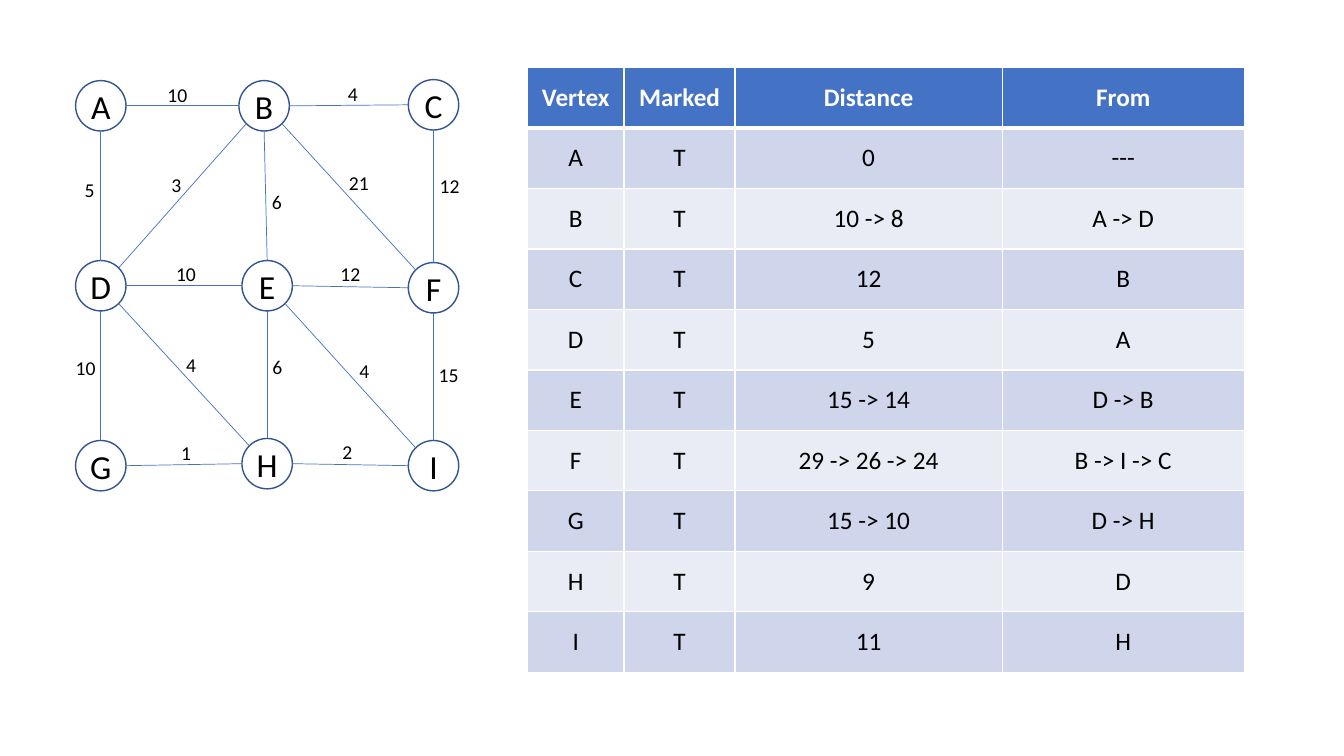
from math import hypot

from lxml.etree import SubElement as Sub
from pptx import Presentation
from pptx.dml.color import RGBColor as RGB
from pptx.enum.shapes import MSO_CONNECTOR as CONN, MSO_SHAPE as SHAPE
from pptx.enum.text import MSO_ANCHOR as ANCHOR, PP_ALIGN as ALIGN
from pptx.oxml.ns import qn
from pptx.util import Inches as In, Pt

# vertex: (column, row, nudge right, nudge down)
NODES = {
    "A": (0, 0, 0, 0), "B": (1, 0, -0.03, 0), "C": (2, 0, 0, -0.01),
    "D": (0, 1, 0, 0), "E": (1, 1, 0, 0), "F": (2, 1, 0, 0.02),
    "G": (0, 2, 0, 0), "H": (1, 2, 0, -0.02), "I": (2, 2, 0, 0),
}
# ends, weight, offset of the weight from the middle of the edge
EDGES = [
    ("AB", 10, -0.05, -0.11), ("BC", 4, 0.04, -0.11),
    ("AD", 5, -0.11, -0.06), ("BD", 3, -0.06, -0.11),
    ("BE", 6, 0.11, 0.06), ("BF", 21, 0.1, -0.14),
    ("CF", 12, 0.16, -0.1), ("DE", 10, 0.02, -0.12),
    ("EF", 12, 0, -0.13), ("DG", 10, -0.15, -0.08),
    ("DH", 4, 0.07, -0.1), ("EH", 6, 0.1, -0.08),
    ("EI", 4, 0.14, -0.05), ("FI", 15, 0.15, -0.02),
    ("GH", 1, 0.02, -0.11), ("HI", 2, -0.03, -0.12),
]
ROWS = [
    ("Vertex", "Marked", "Distance", "From"),
    ("A", "T", "0", "---"),
    ("B", "T", "10 -> 8", "A -> D"),
    ("C", "T", "12", "B"),
    ("D", "T", "5", "A"),
    ("E", "T", "15 -> 14", "D -> B"),
    ("F", "T", "29 -> 26 -> 24", "B -> I -> C"),
    ("G", "T", "15 -> 10", "D -> H"),
    ("H", "T", "9", "D"),
    ("I", "T", "11", "H"),
]
THEME = {
    "font": "Calibri", "node": 24, "weight": 14, "cell": 18,
    "ink": "000000", "white": "FFFFFF", "ring": "325491",
    "blue": "4472C4", "bands": ("E9EBF5", "CFD5EA"),
}
LEFT, TOP, STEP_X, STEP_Y, RAD = 1, 1.05, 1.65, 1.785, 0.25
COLS, ROW_H, TAB_X, TAB_Y = (0.96, 1.1, 2.65, 2.4), 0.6, 5.23, 0.67


def color(key):
    """Turn a theme key into a colour."""
    return RGB.from_string(THEME[key])


def write(frame, text, size, ink="ink", bold=False):
    """Put centred text in a frame."""
    frame.text = str(text)
    para = frame.paragraphs[0]
    para.alignment = ALIGN.CENTER
    font = para.runs[0].font
    font.name, font.size, font.bold = THEME["font"], Pt(THEME[size]), bold
    font.color.rgb = color(ink)


def center(name):
    """Give the middle of a vertex in inches."""
    col, row, dx, dy = NODES[name]
    return LEFT + col * STEP_X + dx, TOP + row * STEP_Y + dy


def add_node(slide, name):
    """Draw a vertex as a ring with its letter."""
    x, y = center(name)
    ring = slide.shapes.add_shape(
        SHAPE.OVAL, In(x - RAD), In(y - RAD), In(2 * RAD), In(2 * RAD))
    ring.shadow.inherit = False
    ring.fill.background()
    ring.line.color.rgb, ring.line.width = color("ring"), Pt(1)
    frame = ring.text_frame
    frame.margin_left = frame.margin_right = 0
    frame.margin_top = frame.margin_bottom = 0
    frame.vertical_anchor = ANCHOR.MIDDLE
    write(frame, name, "node")


def add_edge(slide, ends):
    """Draw a line between the rims of two vertices."""
    one, two = ends
    (x1, y1), (x2, y2) = center(one), center(two)
    dx = NODES[two][0] - NODES[one][0]
    dy = NODES[two][1] - NODES[one][1]
    cut = RAD / hypot(dx, dy)
    line = slide.shapes.add_connector(
        CONN.STRAIGHT, In(x1 + dx * cut), In(y1 + dy * cut),
        In(x2 - dx * cut), In(y2 - dy * cut))
    line.line.color.rgb, line.line.width = color("blue"), Pt(0.5)
    Sub(line._element.spPr, qn("a:effectLst"))


def add_weight(slide, ends, weight, dx, dy):
    """Write a weight beside the middle of its edge."""
    (x1, y1), (x2, y2) = map(center, ends)
    wide, high = 0.2 + 0.1 * len(str(weight)), 0.34
    box = slide.shapes.add_textbox(
        In((x1 + x2 - wide) / 2 + dx), In((y1 + y2 - high) / 2 + dy),
        In(wide), In(high))
    box.text_frame.word_wrap = False
    write(box.text_frame, weight, "weight")


def add_rules(cell, row):
    """Give a cell white borders, thick under the header."""
    props = cell._tc.get_or_add_tcPr()
    thick = {"lnB": row == 0, "lnT": row == 1}
    for side in ("lnL", "lnR", "lnT", "lnB"):
        width = Pt(3 if thick.get(side) else 1)
        rule = Sub(props, qn("a:" + side), w=str(width))
        fill = Sub(rule, qn("a:solidFill"))
        Sub(fill, qn("a:srgbClr"), val=THEME["white"])


def add_grid(slide):
    """Build the table of shortest distances."""
    grid = slide.shapes.add_table(
        len(ROWS), len(COLS), In(TAB_X), In(TAB_Y),
        In(sum(COLS)), In(ROW_H * len(ROWS))).table
    for col, wide in zip(grid.columns, COLS):
        col.width = In(wide)
    for r, row in enumerate(ROWS):
        head = r == 0
        back = THEME["blue"] if head else THEME["bands"][r % 2]
        for c, text in enumerate(row):
            cell = grid.cell(r, c)
            add_rules(cell, r)
            cell.fill.solid()
            cell.fill.fore_color.rgb = RGB.from_string(back)
            cell.vertical_anchor = ANCHOR.MIDDLE
            write(cell.text_frame, text, "cell",
                  "white" if head else "ink", head)


def main():
    """Build the slide and save it."""
    deck = Presentation()
    deck.slide_width, deck.slide_height = In(13.33), In(7.5)
    slide = deck.slides.add_slide(deck.slide_layouts[6])
    for name in NODES:
        add_node(slide, name)
    for edge in EDGES:
        add_edge(slide, edge[0])
    for edge in EDGES:
        add_weight(slide, *edge)
    add_grid(slide)
    deck.save("out.pptx")


main()
